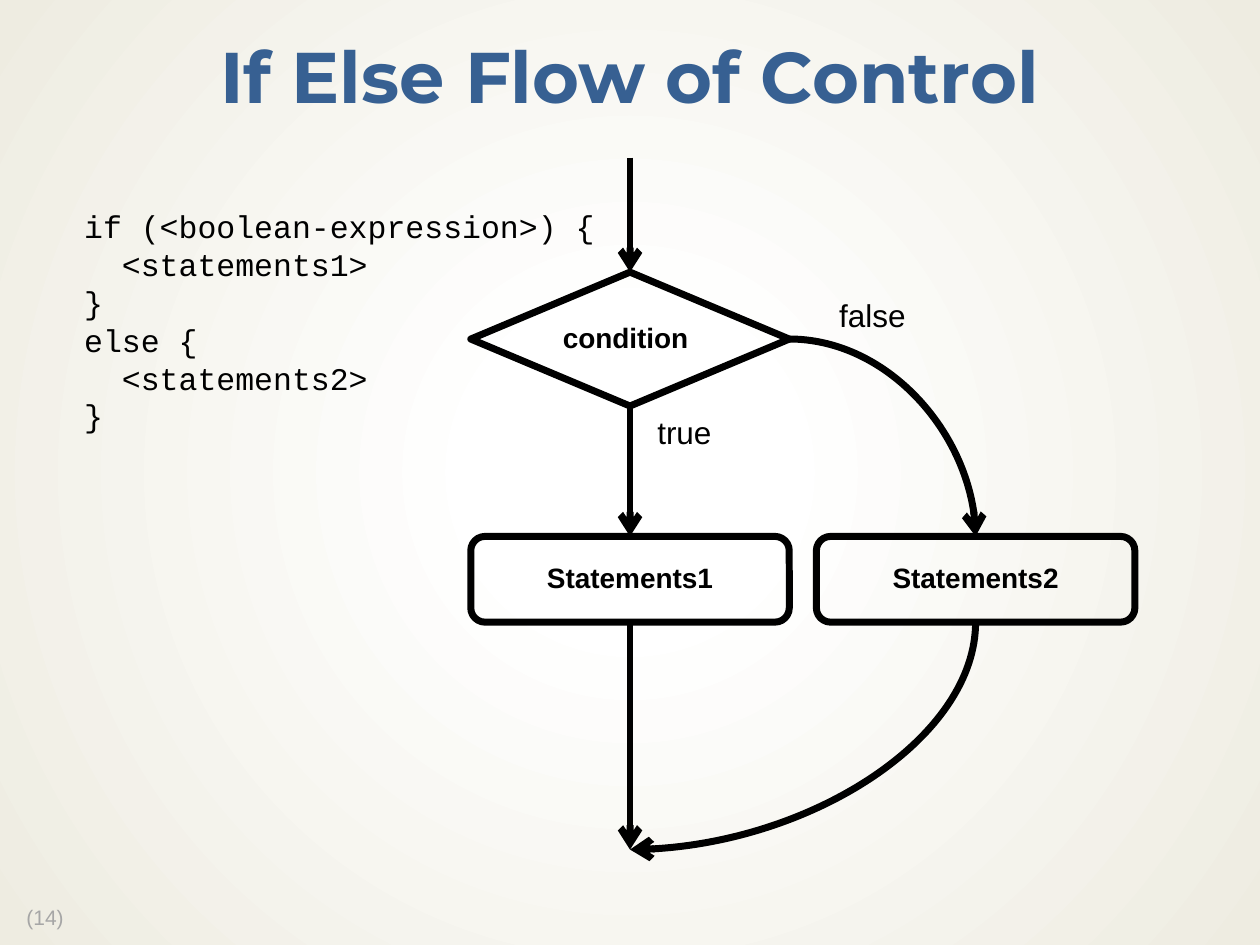
from lxml.etree import SubElement, fromstring
from pptx import Presentation
from pptx.dml.color import RGBColor
from pptx.enum.shapes import MSO_CONNECTOR as Connector, MSO_SHAPE as Shape
from pptx.enum.text import MSO_ANCHOR as Anchor, PP_ALIGN as Align
from pptx.oxml.ns import nsdecls, qn
from pptx.util import Pt

BLACK = "000000"
TOP, BOTTOM = 0, 2


def color(hex_code):
    return RGBColor.from_string(hex_code)


def set_background(slide):
    fill = slide.background.fill
    fill.gradient()
    gradient = slide.background._cSld.bg.bgPr.find(qn("a:gradFill"))
    radial = fromstring(
        f'<a:gradFill {nsdecls("a")} rotWithShape="1"><a:gsLst>'
        '<a:gs pos="18000"><a:srgbClr val="FFFFFF"><a:alpha val="53000"/></a:srgbClr></a:gs>'
        '<a:gs pos="100000"><a:srgbClr val="EEECE1"/></a:gs></a:gsLst>'
        '<a:path path="circle"><a:fillToRect l="50000" t="50000" r="50000" b="50000"/>'
        '</a:path></a:gradFill>')
    gradient[:] = radial[:]


def write(shape, text, size, font="Arial", hex_code=BLACK, bold=False,
          align=Align.LEFT, spacing=None):
    frame = shape.text_frame
    frame.text = text
    for paragraph in frame.paragraphs:
        paragraph.alignment = align
        paragraph.line_spacing = spacing
        paragraph.font.size = Pt(size)
        paragraph.font.name = font
        paragraph.font.bold = bold
        paragraph.font.color.rgb = color(hex_code)


def add_text(slide, box, text, size, wrap=False, anchor=Anchor.TOP, **style):
    text_box = slide.shapes.add_textbox(*map(Pt, box))
    text_box.text_frame.word_wrap = wrap
    text_box.text_frame.vertical_anchor = anchor
    write(text_box, text, size, **style)


def style_line(line):
    line.color.rgb = color(BLACK)
    line.width = Pt(4)
    SubElement(line._get_or_add_ln(), qn("a:round"))


def add_node(slide, kind, box, text, align=Align.CENTER):
    node = slide.shapes.add_shape(kind, *map(Pt, box))
    node.shadow.inherit = False
    node.fill.background()
    style_line(node.line)
    node.text_frame.vertical_anchor = Anchor.MIDDLE
    write(node, text, 16, bold=True, align=align, spacing=0.9)
    return node


def add_arrow(slide, start, end, kind=Connector.STRAIGHT):
    arrow = slide.shapes.add_connector(kind, *map(Pt, (*start, *end)))
    style_line(arrow.line)
    SubElement(arrow.line._get_or_add_ln(), qn("a:tailEnd"), type="arrow")
    SubElement(arrow._element.spPr, qn("a:effectLst"))
    return arrow


def add_quarter_curve(slide, start, end, quarter_turn=False):
    """Curve that leaves sideways, or downwards to the left with quarter_turn."""
    if quarter_turn:
        # Swap width and height about the centre; the rotation restores them
        middle_x, middle_y = (start[0] + end[0]) / 2, (start[1] + end[1]) / 2
        half_width, half_height = (end[1] - start[1]) / 2, (start[0] - end[0]) / 2
        start = middle_x - half_width, middle_y - half_height
        end = middle_x + half_width, middle_y + half_height
    curve = add_arrow(slide, start, end, Connector.CURVE)
    properties = curve._element.spPr
    properties.find(qn("a:prstGeom")).set("prst", "curvedConnector2")
    if quarter_turn:
        properties.find(qn("a:xfrm")).set("rot", str(90 * 60000))


def add_flowchart(slide, box):
    left, top, width, height = box
    node_width, diamond_height, statement_height = 182, 76.5, 49
    diamond_top, statement_top = top + 65.5, top + 216.5
    true_x = left + node_width / 2
    false_x = left + width - node_width / 2
    bottom = top + height

    # Nodes
    condition = add_node(slide, Shape.DIAMOND,
                         (left, diamond_top, node_width, diamond_height),
                         "condition", Align.LEFT)
    statements = [
        add_node(slide, Shape.ROUNDED_RECTANGLE,
                 (x - node_width / 2, statement_top, node_width, statement_height), text)
        for x, text in ((true_x, "Statements1"), (false_x, "Statements2"))]

    # Straight flow through the true branch
    diamond_bottom = diamond_top + diamond_height
    statement_bottom = statement_top + statement_height
    entry = add_arrow(slide, (true_x, top), (true_x, diamond_top))
    entry.end_connect(condition, TOP)
    branch = add_arrow(slide, (true_x, diamond_bottom), (true_x, statement_top))
    branch.begin_connect(condition, BOTTOM)
    branch.end_connect(statements[0], TOP)
    leave = add_arrow(slide, (true_x, statement_bottom), (true_x, bottom))
    leave.begin_connect(statements[0], BOTTOM)

    # Curved flow through the false branch
    add_quarter_curve(slide, (left + node_width, diamond_top + diamond_height / 2),
                      (false_x, statement_top))
    add_quarter_curve(slide, (false_x, statement_bottom), (true_x, bottom),
                      quarter_turn=True)

    # Branch labels
    add_text(slide, (left + 203.5, top + 75.5, 53, 29), "false", 18)
    add_text(slide, (left + 99.5, top + 142.5, 46, 29), "true", 18)


def add_code(slide, box):
    lines = ["if (<boolean-expression>) {", "  <statements1>", "}",
             "else {", "  <statements2>", "}"]
    add_text(slide, box, "\n".join(lines), 18, font="Courier New")


def main():
    presentation = Presentation()
    presentation.slide_width, presentation.slide_height = Pt(720), Pt(540)
    slide = presentation.slides.add_slide(presentation.slide_layouts[6])
    set_background(slide)
    add_text(slide, (0, 12, 720, 68), "If Else Flow of Control", 41, wrap=True,
             anchor=Anchor.MIDDLE, font="Montserrat", hex_code="376092",
             bold=True, align=Align.CENTER, spacing=0.9)
    add_code(slide, (41, 115, 309, 138))
    add_flowchart(slide, (269, 90, 379.5, 395.5))
    add_text(slide, (8, 515, 37, 20), "(14)", 12, hex_code="A6A6A6", spacing=0.9)
    presentation.save("out.pptx")


if __name__ == "__main__":
    main()
